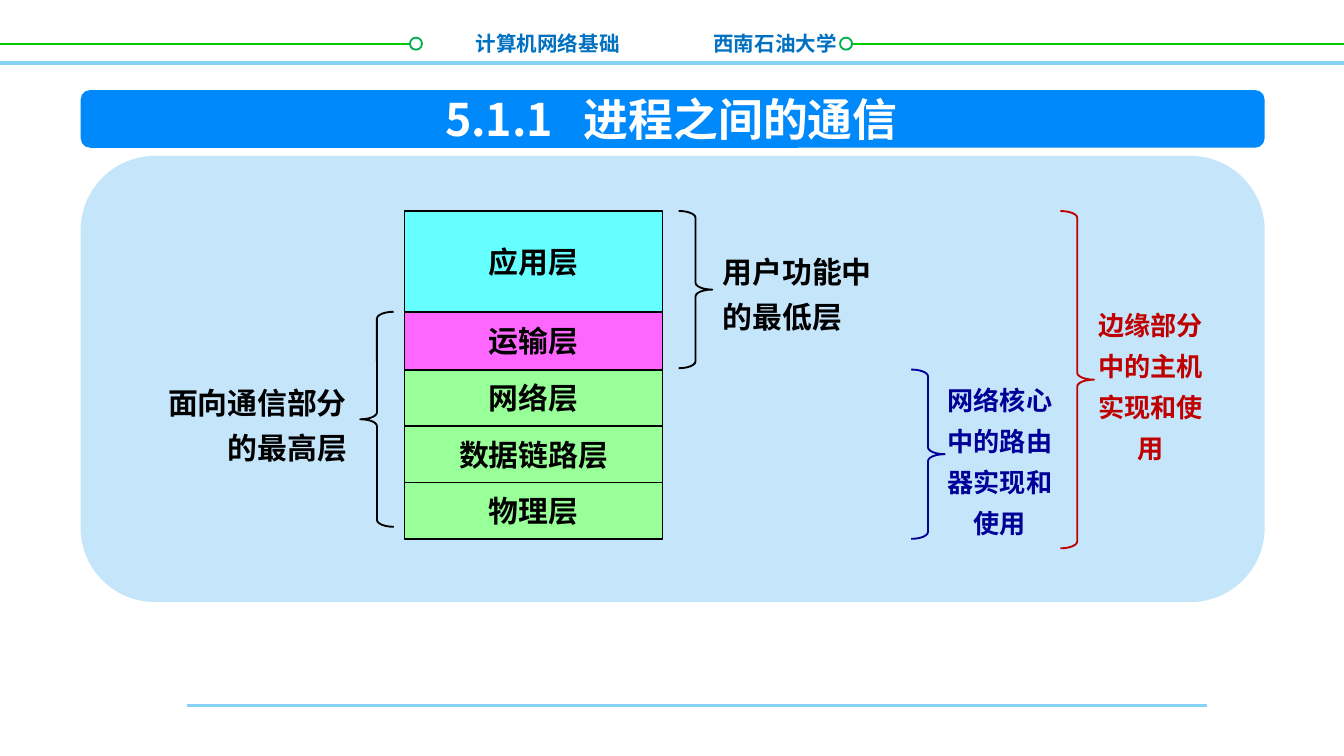
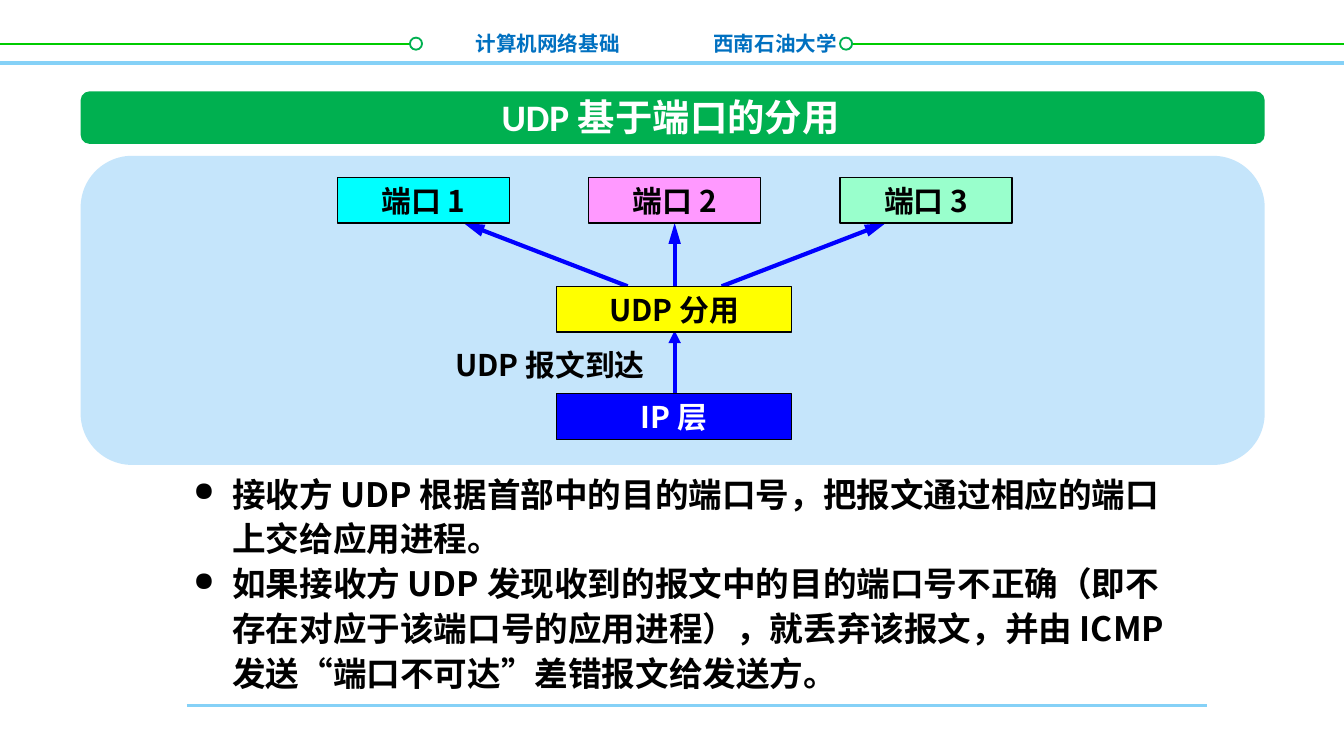
from lxml import etree
from pptx import Presentation
from pptx import util as u
from pptx.dml.color import RGBColor
from pptx.enum import shapes, text
from pptx.oxml.ns import qn

PX = 9144  # EMU per px, 100 px to the inch
FONT = "Noto Sans CJK SC"
BLACK, WHITE, BLUE, GREEN = "000000", "FFFFFF", "0000FF", "00B050"
SKY, PANEL, LIME, HEADER = "85D1F7", "C5E5FB", "00CC00", "0070C0"
NAVY, RED = "000099", "C00000"
RECT = shapes.MSO_SHAPE.RECTANGLE
ROUND = shapes.MSO_SHAPE.ROUNDED_RECTANGLE
OVAL = shapes.MSO_SHAPE.OVAL
BRACE = shapes.MSO_SHAPE.RIGHT_BRACE
LEFT, CENTER, RIGHT = text.PP_ALIGN.LEFT, text.PP_ALIGN.CENTER, text.PP_ALIGN.RIGHT
rgb = RGBColor.from_string


def add_box(s, kind, at, fill=None, line=None, weight=1, words="", size=16,
            color=BLACK, align=CENTER, wrap=True, spacing=None, font=FONT):
    """Add a preset shape, or a text box when kind is None."""
    at = [v * PX for v in at]
    if kind is None:
        sp = s.shapes.add_textbox(*at)
    else:
        sp = s.shapes.add_shape(kind, *at)
        sp.shadow.inherit = False
        if fill:
            sp.fill.solid()
            sp.fill.fore_color.rgb = rgb(fill)
        else:
            sp.fill.background()
        if line:
            sp.line.color.rgb = rgb(line)
            sp.line.width = u.Pt(weight)
        else:
            sp.line.fill.background()
    if words:
        tf = sp.text_frame
        tf.text = words
        tf.word_wrap = wrap
        if kind is None:
            tf.auto_size = text.MSO_AUTO_SIZE.SHAPE_TO_FIT_TEXT
        else:
            tf.vertical_anchor = text.MSO_ANCHOR.MIDDLE
        for p in tf.paragraphs:
            p.alignment = align
            if spacing:
                p.line_spacing = u.Pt(spacing)
            for r in p.runs:
                r.font.size = u.Pt(size)
                r.font.bold = True
                r.font.color.rgb = rgb(color)
                r.font.name = font
                etree.SubElement(r.font._element, qn("a:ea")).set("typeface", FONT)
    return sp


def add_line(s, x1, y1, x2, y2, color, weight, head=None):
    """Add a straight line; head is the length of its arrowhead."""
    ln = s.shapes.add_connector(shapes.MSO_CONNECTOR.STRAIGHT,
                                x1 * PX, y1 * PX, x2 * PX, y2 * PX)
    ln.line.color.rgb = rgb(color)
    ln.line.width = u.Pt(weight)
    if head:
        tail = etree.SubElement(ln.line._get_or_add_ln(), qn("a:tailEnd"))
        tail.set("type", "triangle")
        tail.set("len", head)
    etree.SubElement(ln._element.spPr, qn("a:effectLst"))


prs = Presentation()
prs.slide_width = 1000 * PX
prs.slide_height = prs.slide_width * 9 // 16

# Shared frame: rules, header, title bar and panel
pages = [
    # title, font, size, text box, bar top, bar height, bar colour, panel height
    ("5.1.1   进程之间的通信", FONT, 24, (316, 63, 367, 50), 67, 43, "0089FA", 332),
    ("UDP 基于端口的分用", "Calibri", 20, (359, 65, 280, 44), 68, 39, GREEN, 230),
]
for title, font, size, title_at, bar_top, bar_height, bar_color, panel_height in pages:
    s = prs.slides.add_slide(prs.slide_layouts[6])
    add_line(s, 139, 525, 898, 525, SKY, 1.5)
    add_line(s, 0, 47, 1000, 47, SKY, 2)
    for x1, x2, dot in ((0, 310, 305), (625, 1000, 625)):
        add_line(s, x1, 33, x2, 33, LIME, 1)
        add_box(s, OVAL, (dot, 28, 9, 9), WHITE, GREEN)
    add_box(s, None, (342, 18, 129, 28), words="计算机网络基础", size=11,
            color=HEADER, align=RIGHT, wrap=False)
    add_box(s, None, (521, 18, 116, 28), words="西南石油大学", size=11,
            color=HEADER, align=LEFT)
    add_box(s, ROUND, (60, 116, 881, panel_height), PANEL)
    add_box(s, ROUND, (60, bar_top, 881, bar_height), bar_color)
    add_box(s, None, title_at, words=title, size=size, color=WHITE, wrap=False, font=font)

# Slide 1: protocol layers
s = prs.slides[0]
top = 157
for name, height, fill in (("应用层", 75, "66FFFF"), ("运输层", 43, "FF66FF"),
                           ("网络层", 42, "99FF99"), ("数据链路层", 42, "99FF99"),
                           ("物理层", 42, "99FF99")):
    add_box(s, RECT, (301, top, 192, height), fill, BLACK, words=name)
    top += height

# Slide 1: braces and their labels
braces = [
    # brace x, top, height, flipped, label box, label, size, colour, align, line spacing
    (505, 157, 117, False, (528, 177, 150, 77), "用户功能中的最低层", 16, BLACK, LEFT, 24),
    (268, 232, 160, True, (112, 275, 156, 77), "面向通信部分的最高层", 16, BLACK, RIGHT, 24),
    (678, 275, 126, False, (692, 274, 104, 134), "网络核心中的路由器实现和使用",
     14, NAVY, CENTER, 22),
    (789, 157, 251, False, (804, 218, 104, 134), "边缘部分中的主机\n实现和使用",
     14, RED, CENTER, 22),
]
for x, y, height, flipped, label_at, label, size, color, align, spacing in braces:
    sp = add_box(s, BRACE, (x, y, 25, height), line=color)
    sp.adjustments[0] = 0.203
    if flipped:
        sp._element.spPr.xfrm.set("flipH", "1")
    add_box(s, None, label_at, words=label, size=size, color=color,
            align=align, spacing=spacing)

# Slide 2: explanation
s = prs.slides[1]
sp = add_box(s, None, (134, 344, 753, 178), size=18, align=LEFT, spacing=24, words=(
    "接收方 UDP 根据首部中的目的端口号，把报文通过相应的端口上交给应用进程。\n"
    "如果接收方 UDP 发现收到的报文中的目的端口号不正确（即不存在对应于该端口号的应用进程），"
    "就丢弃该报文，并由 ICMP 发送“端口不可达”差错报文给发送方。"))
for p in sp.text_frame.paragraphs:
    pPr = p._p.get_or_add_pPr()
    pPr.set("marL", str(29 * PX))
    pPr.set("indent", str(-29 * PX))
    etree.SubElement(pPr, qn("a:buSzPct")).set("val", "80000")
    etree.SubElement(pPr, qn("a:buChar")).set("char", "●")

# Slide 2: arrows from the IP layer up to the ports
for x1, y1, x2, y2, head in ((502, 293, 502, 246, "med"), (502, 213, 502, 166, "lg"),
                             (537, 213, 659, 166, "lg"), (467, 213, 345, 166, "lg")):
    add_line(s, x1, y1, x2, y2, BLUE, 2.25, head)

# Slide 2: boxes
for i, fill in enumerate(("00FFFF", "FF99FF", "99FFCC")):
    add_box(s, RECT, (251 + 187 * i, 132, 128, 34), fill, BLACK, 0.75,
            f"端口 {i + 1}", wrap=False)
for name, y, fill, color in (("UDP 分用", 213, "FFFF00", BLACK),
                             ("IP 层", 293, BLUE, WHITE)):
    add_box(s, RECT, (414, y, 175, 34), fill, BLACK, 0.75, name, color=color, wrap=False)
add_box(s, None, (329, 253, 166, 37), words="UDP 报文到达", align=LEFT, wrap=False)

prs.save("out.pptx")
